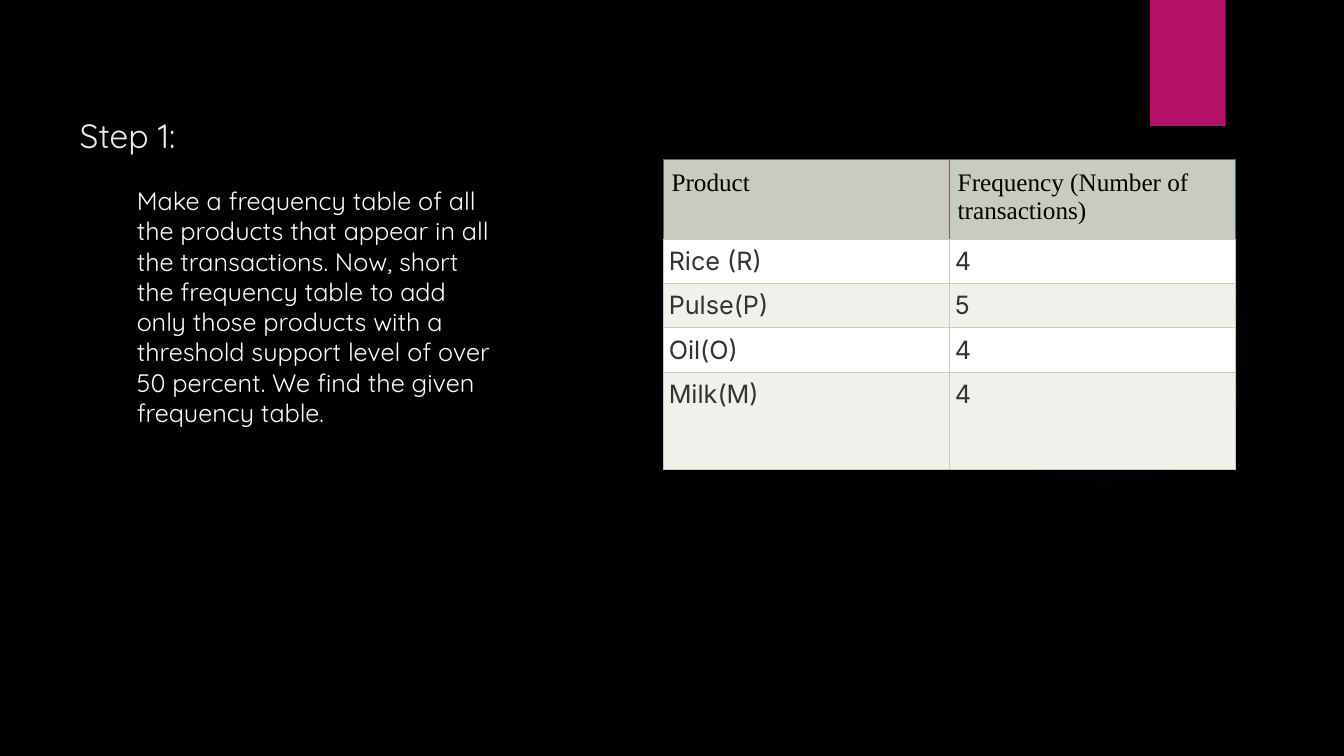
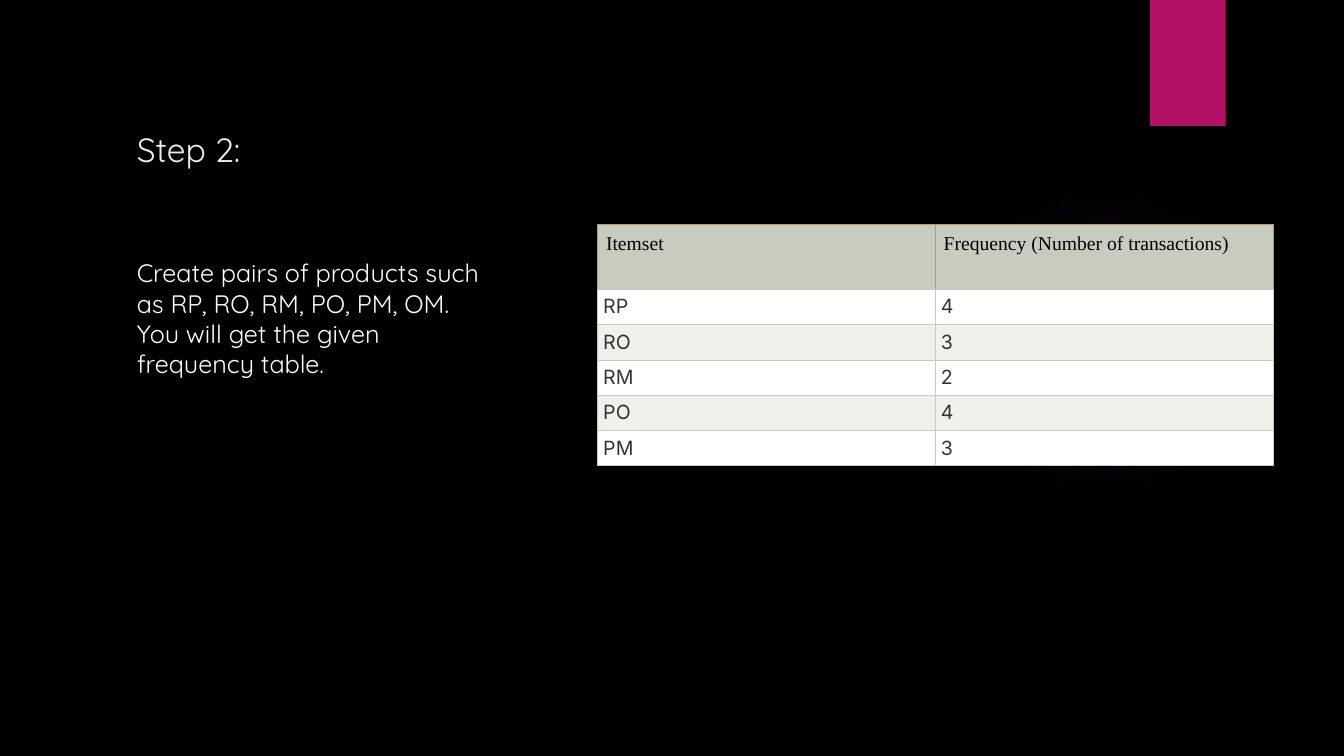
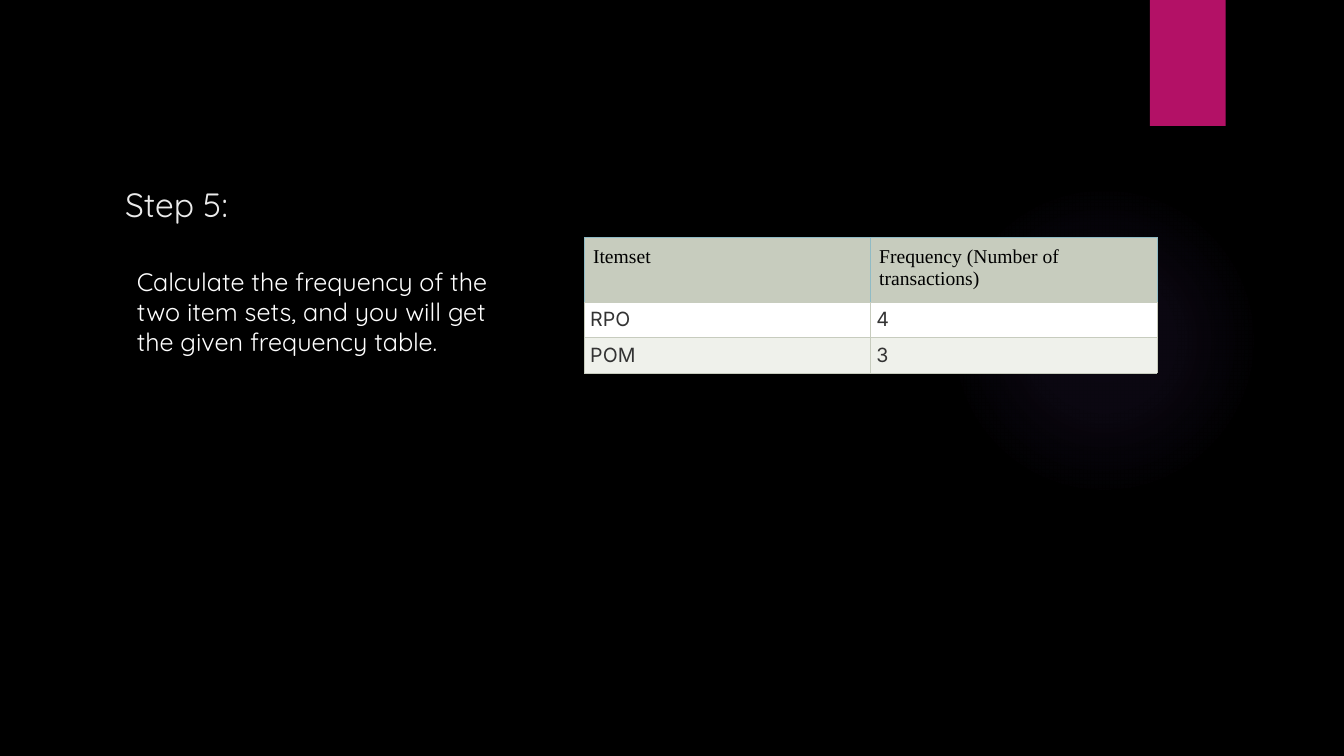
from collections import namedtuple
from dataclasses import dataclass

from pptx import Presentation
from pptx import util as u
from pptx.dml.color import RGBColor
from pptx.enum import shapes, text
from pptx.oxml import parse_xml
from pptx.oxml.ns import nsdecls

COLS, ROWS = 32, 18
CELL = u.Emu(381000)
Box = namedtuple("Box", "left top width height")


@dataclass(frozen=True)
class Theme:
    """Colours, fonts and sizes shared by the slides."""
    back: str = "000000"
    tab: str = "B31166"
    glow: str = "9B6BF2"
    title: str = "EBEBEB"
    body: str = "FFFFFF"
    head: str = "000000"
    ink: str = "333333"
    rule: str = "C7CCBE"
    bands: tuple = ("FFFFFF", "EFF1EB")
    font: str = "Quicksand"
    serif: str = "Times New Roman"
    sans: str = "Inter"
    large: int = 24
    medium: int = 18
    small: int = 14
    line: float = 0.6


THEME = Theme()

STEPS = [
    dict(
        title="Step 1:", title_box=Box(1.66, 2.33, 10.3, 1.49),
        body="Make a frequency table of all the products that appear in all "
             "the transactions. Now, short the frequency table to add only "
             "those products with a threshold support level of over 50 "
             "percent. We find the given frequency table.",
        body_box=Box(3.02, 4.3, 8.93, 11.52),
        rows=[("Product", "Frequency (Number of transactions)"),
              ("Rice (R)", "4"), ("Pulse(P)", "5"), ("Oil(O)", "4"),
              ("Milk(M)", "4")],
        spot=(15.79, 3.79), width=13.63, heights=[1.8] + [1.05] * 3 + [2.33],
        size=THEME.medium, pads=(7, 5), edge="B027E3"),
    dict(
        title="Step 2:", title_box=Box(3.02, 1.27, 8.93, 2.88),
        body="Create pairs of products such as RP, RO, RM, PO, PM, OM. "
             "You will get the given frequency table.",
        body_box=Box(3.02, 6.02, 8.93, 4.58),
        rows=[("Itemset", "Frequency (Number of transactions)"),
              ("RP", "4"), ("RO", "3"), ("RM", "2"), ("PO", "4"),
              ("PM", "3")],
        spot=(14.23, 5.35), width=16.08, heights=[1.54] + [0.84] * 5,
        size=THEME.small, pads=(6, 4), edge="B0997D"),
    dict(
        title="Step 5:", title_box=Box(2.74, 1.66, 8.93, 3.79),
        body="Calculate the frequency of the two item sets, and you will get "
             "the given frequency table.",
        body_box=Box(3.02, 6.22, 8.93, 3.65),
        rows=[("Itemset", "Frequency (Number of transactions)"),
              ("RPO", "4"), ("POM", "3")],
        spot=(13.92, 5.66), width=13.63, heights=[1.54] + [0.84] * 2,
        size=THEME.small, pads=(6, 4), edge="90BBC5"),
]


def grid(count):
    """Turn a number of grid cells into a length."""
    return u.Emu(round(count * CELL))


def place(box):
    """Turn a box in grid cells into four lengths."""
    return [grid(side) for side in box]


def paint(fill, tint):
    """Fill with one solid colour."""
    fill.solid()
    fill.fore_color.rgb = RGBColor.from_string(tint)


def write(frame, words, font, size, tint):
    """Set the text of a frame and format its runs."""
    frame.word_wrap = True
    frame.text = words
    for run in frame.paragraphs[0].runs:
        run.font.name = font
        run.font.size = u.Pt(size)
        run.font.color.rgb = RGBColor.from_string(tint)


def add_flat(slide, kind, box):
    """Add a preset shape with no line and no shadow."""
    shape = slide.shapes.add_shape(kind, *place(box))
    shape.shadow.inherit = False
    shape.line.fill.background()
    return shape


def add_glow(slide, box):
    """Add a circle that fades out from its centre."""
    shape = add_flat(slide, shapes.MSO_SHAPE.OVAL, box)
    shape.fill.background()
    stops = "".join(
        f'<a:gs pos="{pos}000"><a:srgbClr val="{THEME.glow}">'
        f'<a:alpha val="{alpha}000"/></a:srgbClr></a:gs>'
        for pos, alpha in ((0, 7), (36, 6), (69, 0)))
    fade = parse_xml(
        f'<a:gradFill {nsdecls("a")}><a:gsLst>{stops}</a:gsLst>'
        '<a:path path="circle"><a:fillToRect l="50000" t="50000" '
        'r="50000" b="50000"/></a:path></a:gradFill>')
    props = shape.element.spPr
    props.replace(props.find("{*}noFill"), fade)


def add_frame(slide):
    """Draw the glow and the tab that all slides share."""
    add_glow(slide, Box(22.58, 4.4, 7.4, 7.4))
    tab = add_flat(slide, shapes.MSO_SHAPE.RECTANGLE, Box(27.38, 0, 1.8, 3))
    paint(tab.fill, THEME.tab)


def add_text(slide, box, words, size, tint, anchor):
    """Add a text box in the main font."""
    frame = slide.shapes.add_textbox(*place(box)).text_frame
    frame.vertical_anchor = anchor
    write(frame, words, THEME.font, size, tint)


def edge_cell(cell, edge):
    """Draw the four borders of a cell, the lower one in the rule colour."""
    tints = dict(L=edge, R=edge, T=edge, B=THEME.rule)
    props = cell._tc.get_or_add_tcPr()
    for spot, (side, tint) in enumerate(tints.items()):
        props.insert(spot, parse_xml(
            f'<a:ln{side} {nsdecls("a")} w="{u.Pt(THEME.line)}"><a:solidFill>'
            f'<a:srgbClr val="{tint}"/></a:solidFill></a:ln{side}>'))


def fill_cell(cell, words, row, step):
    """Style a cell as header or banded body by its row."""
    head = row == 0
    side, pad = (6, step["pads"][0]) if head else (4, step["pads"][1])
    cell.margin_left = cell.margin_right = u.Pt(side)
    cell.margin_top = cell.margin_bottom = u.Pt(pad)
    write(cell.text_frame, words, THEME.serif if head else THEME.sans,
          step["size"], THEME.head if head else THEME.ink)
    if not head:
        cell.text_frame.paragraphs[0].alignment = text.PP_ALIGN.JUSTIFY
    paint(cell.fill, THEME.rule if head else THEME.bands[(row - 1) % 2])
    edge_cell(cell, step["edge"] if head else THEME.rule)


def add_grid(slide, step):
    """Add the frequency table with equal columns."""
    rows, heights = step["rows"], step["heights"]
    box = Box(*step["spot"], step["width"], sum(heights))
    table = slide.shapes.add_table(len(rows), len(rows[0]), *place(box)).table
    for row, (height, items) in enumerate(zip(heights, rows)):
        table.rows[row].height = grid(height)
        for col, words in enumerate(items):
            fill_cell(table.cell(row, col), words, row, step)


def add_step(deck, step):
    """Add one slide with a title, a table and a text."""
    slide = deck.slides.add_slide(deck.slide_layouts[6])
    paint(slide.background.fill, THEME.back)
    add_frame(slide)
    add_text(slide, step["title_box"], step["title"], THEME.large,
             THEME.title, text.MSO_ANCHOR.BOTTOM)
    add_grid(slide, step)
    add_text(slide, step["body_box"], step["body"], THEME.medium,
             THEME.body, text.MSO_ANCHOR.TOP)


def main():
    """Build and save the deck."""
    deck = Presentation()
    deck.slide_width, deck.slide_height = grid(COLS), grid(ROWS)
    for step in STEPS:
        add_step(deck, step)
    deck.save("out.pptx")


if __name__ == "__main__":
    main()
